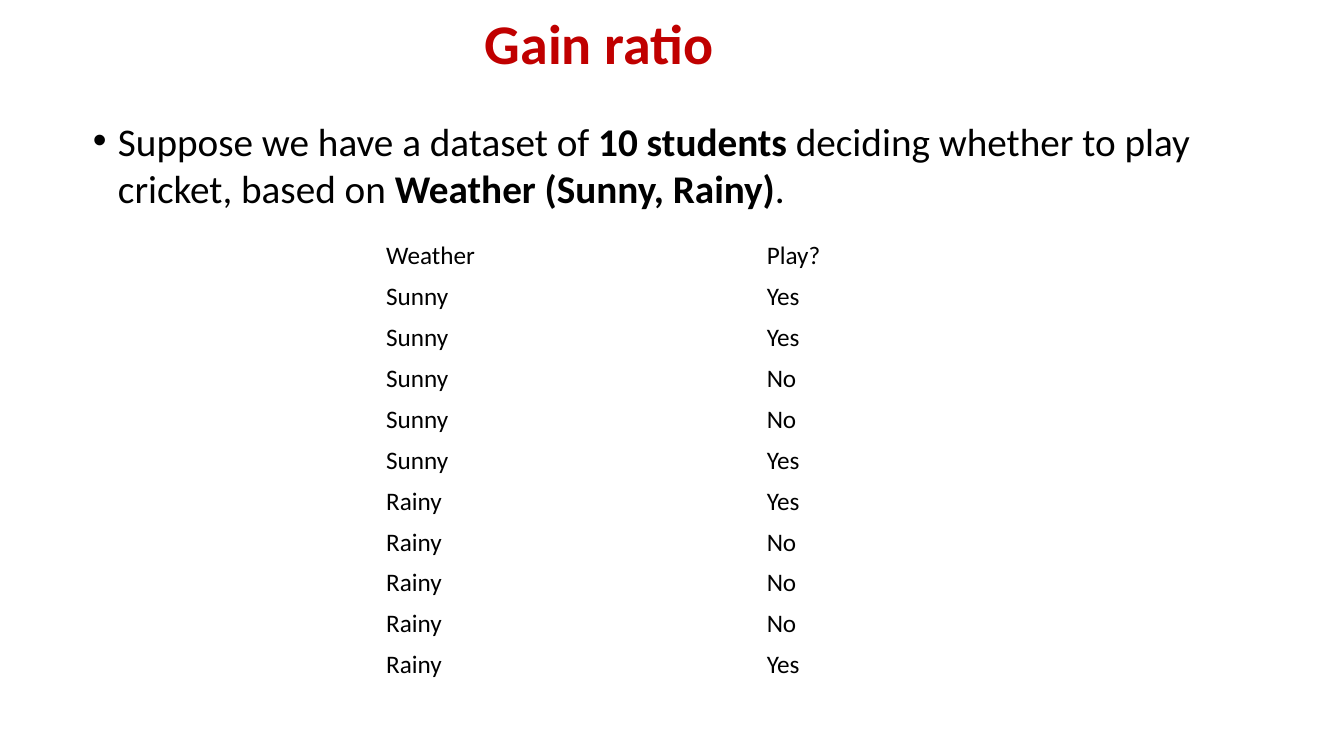
from lxml import etree
from pptx import Presentation
from pptx.dml.color import RGBColor as RGB
from pptx.enum.text import MSO_ANCHOR as Anchor, MSO_AUTO_SIZE as AutoSize, PP_ALIGN as Align
from pptx.oxml.ns import qn
from pptx.util import Inches, Pt

COLORS = {"title": "C00000", "text": "000000"}
FONT = "Calibri"


class SlideBuilder:
    def __init__(self, prs):
        self.slide = prs.slides.add_slide(prs.slide_layouts[1])

    def style(self, font, size, color="text", bold=False):
        font.name, font.size, font.bold = FONT, Pt(size), bold
        font.color.rgb = RGB.from_string(COLORS[color])

    def place(self, sp, box, anchor):
        sp.left, sp.top, sp.width, sp.height = (Inches(v) for v in box)
        tf = sp.text_frame
        tf.word_wrap, tf.auto_size, tf.vertical_anchor = True, AutoSize.NONE, anchor
        return tf

    def title(self, text, box):
        tf = self.place(self.slide.shapes.title, box, Anchor.MIDDLE)
        tf.text = text
        p = tf.paragraphs[0]
        p.alignment, p.line_spacing = Align.LEFT, 0.9
        self.style(p.runs[0].font, 40, "title", True)

    def bullet(self, parts, box):
        tf = self.place(self.slide.placeholders[1], box, Anchor.TOP)
        p = tf.paragraphs[0]
        pPr = p._p.get_or_add_pPr()
        pPr.set("marL", str(Inches(0.25)))
        pPr.set("indent", str(Inches(-0.25)))
        etree.SubElement(pPr, qn("a:buFont")).set("typeface", "Arial")
        etree.SubElement(pPr, qn("a:buChar")).set("char", "•")
        p.space_before = Pt(0)
        for text, bold in parts:
            r = p.add_run()
            r.text = text
            self.style(r.font, 28, bold=bold)

    def table(self, rows, box):
        shape = self.slide.shapes.add_table(
            len(rows), len(rows[0]), *(Inches(v) for v in box))
        tbl = shape.table
        tbl.first_row = tbl.horz_banding = False
        for i, row in enumerate(rows):
            for j, text in enumerate(row):
                cell = tbl.cell(i, j)
                cell.text = text
                cell.fill.background()
                cell.vertical_anchor = Anchor.MIDDLE
                self.style(cell.text_frame.paragraphs[0].runs[0].font, 18)


def main():
    prs = Presentation()
    prs.slide_width, prs.slide_height = Inches(13.33), Inches(7.5)
    s = SlideBuilder(prs)

    # Heading
    s.title("Gain ratio", (4.71, 0, 2.8, 0.92))

    # Problem statement
    s.bullet([
        ("Suppose we have a dataset of ", False),
        ("10 students", True),
        (" deciding whether to play cricket, based on ", False),
        ("Weather (Sunny, Rainy)", True),
        (".", False),
    ], (0.82, 1.11, 11.97, 5.07))

    # Student decisions by weather
    plays = {
        "Sunny": ["Yes", "Yes", "No", "No", "Yes"],
        "Rainy": ["Yes", "No", "No", "No", "Yes"],
    }
    rows = [("Weather", "Play?")]
    rows += [(weather, play) for weather, answers in plays.items() for play in answers]
    s.table(rows, (3.73, 2.34, 7.55, 4.4))

    prs.save("out.pptx")


if __name__ == "__main__":
    main()
